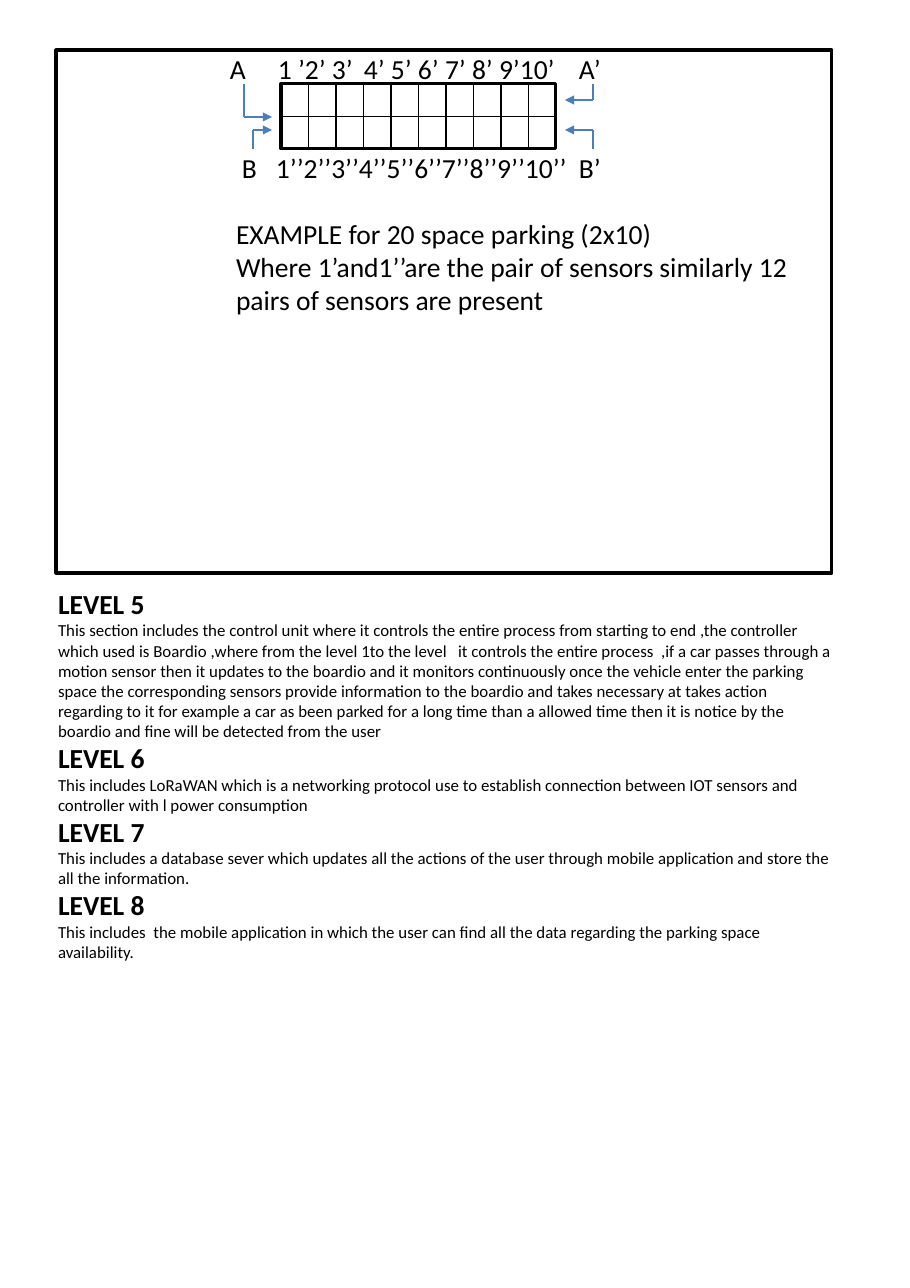
from lxml import etree
from pptx import Presentation
from pptx.dml.color import RGBColor
from pptx.enum.shapes import MSO_CONNECTOR, MSO_SHAPE
from pptx.enum.text import MSO_ANCHOR, MSO_AUTO_SIZE, PP_ALIGN
from pptx.oxml.ns import qn
from pptx.util import Pt

RECT = MSO_SHAPE.RECTANGLE
STRAIGHT = MSO_CONNECTOR.STRAIGHT
LEFT = PP_ALIGN.LEFT
TOP = MSO_ANCHOR.TOP
NO_FIT = MSO_AUTO_SIZE.NONE

PX = 8298
FONT = "Calibri"
BLACK, WHITE, BLUE = "000000", "FFFFFF", "4B7EBC"

EXAMPLE = [
    "EXAMPLE for 20 space parking (2x10)",
    "Where 1’and1’’are the pair of sensors similarly 12 pairs of sensors are present",
]
LEVELS = [
    ("LEVEL 5",
     "This section includes the control unit where it controls the entire process from starting "
     "to end ,the controller which used is Boardio ,where from the level 1to the level   it "
     "controls the entire process  ,if a car passes through a motion sensor then it updates to "
     "the boardio and it monitors continuously once the vehicle enter the parking space the "
     "corresponding sensors provide information to the boardio and takes necessary at takes "
     "action regarding to it for example a car as been parked for a long time than a allowed "
     "time then it is notice by the boardio and fine will be detected from the user"),
    ("LEVEL 6",
     "This includes LoRaWAN which is a networking protocol use to establish connection between "
     "IOT sensors and controller with l power consumption"),
    ("LEVEL 7",
     "This includes a database sever which updates all the actions of the user through mobile "
     "application and store the all the information."),
    ("LEVEL 8",
     "This includes  the mobile application in which the user can find all the data regarding "
     "the parking space availability."),
]
SENSOR_LABELS = [
    (52, [(230, "A"), (278, "1 ’2’ 3’"), (364, "4’ 5’ 6’ 7’ 8’ 9’10’"), (579, "A’")]),
    (151, [(242, "B"), (276, "1’’2’’3’’4’’5’’6’’7’’8’’9’’10’’"), (579, "B’")]),
]
FRAME = (56, 50, 776, 523)
LEVELS_BOX = (58, 587, 776, 465)
GRID_LEFT, GRID_TOP, GRID_W, GRID_H = GRID = (281, 84, 275, 65)
COLUMNS = 10
GRID_RIGHT, GRID_BOTTOM = GRID_LEFT + GRID_W, GRID_TOP + GRID_H
ENTRIES = [
    (244, GRID_TOP, 117, GRID_LEFT - 9),
    (253, GRID_BOTTOM, 130, GRID_LEFT - 9),
    (593, GRID_TOP, 100, GRID_RIGHT + 9),
    (593, GRID_BOTTOM, 130, GRID_RIGHT + 9),
]


def rgb(color):
    return RGBColor.from_string(color)


def emu(*lengths):
    return [round(n * PX) for n in lengths]


def outline(sp):
    sp.fill.solid()
    sp.fill.fore_color.rgb = rgb(WHITE)
    sp.line.color.rgb = rgb(BLACK)
    sp.line.width = Pt(2)


def add_line(x1, y1, x2, y2, color, arrow=False):
    sp = slide.shapes.add_connector(STRAIGHT, *emu(x1, y1, x2, y2))
    sp.line.color.rgb = rgb(color)
    sp.line.width = Pt(0.75)
    if arrow:
        etree.SubElement(sp.line._get_or_add_ln(), qn("a:tailEnd"), type="triangle")
    etree.SubElement(sp._element.spPr, qn("a:effectLst"))


def write(sp, lines, left=0, top=0, wrap=True):
    tf = sp.text_frame
    tf.word_wrap = wrap
    tf.auto_size = NO_FIT
    tf.vertical_anchor = TOP
    tf.margin_left, tf.margin_top = emu(left, top)
    tf.margin_right = tf.margin_bottom = 0
    tf.text = "\n".join(text for text, size, bold in lines)
    for p, (text, size, bold) in zip(tf.paragraphs, lines):
        p.alignment = LEFT
        p.space_before = Pt(0)
        p.font.name = FONT
        p.font.size = Pt(size)
        p.font.bold = bold
        p.font.color.rgb = rgb(BLACK)


def place(sp, box):
    sp.left, sp.top, sp.width, sp.height = emu(*box)


prs = Presentation()
prs.slide_width, prs.slide_height = emu(910, 1288)
slide = prs.slides.add_slide(prs.slide_layouts[0])

title, levels = slide.placeholders
place(title, FRAME)
outline(title)
write(title, [(text, 18, False) for text in EXAMPLE], left=180, top=167)

place(levels, LEVELS_BOX)
write(levels, [line for head, body in LEVELS for line in ((head, 18, True), (body, 11, False))])

for y, labels in SENSOR_LABELS:
    for x, text in labels:
        sp = slide.shapes.add_textbox(*emu(x, y, 11 * len(text), 33))
        write(sp, [(text, 18, False)], wrap=False)

parking = slide.shapes.add_shape(RECT, *emu(*GRID))
parking.shadow.inherit = False
outline(parking)
for i in range(1, COLUMNS):
    x = GRID_LEFT + i * GRID_W / COLUMNS
    add_line(x, GRID_TOP, x, GRID_BOTTOM, BLACK)
middle = GRID_TOP + GRID_H / 2
add_line(GRID_LEFT, middle, GRID_RIGHT, middle, BLACK)

for x, start, turn, end in ENTRIES:
    add_line(x, start, x, turn, BLUE)
    add_line(x, turn, end, turn, BLUE, arrow=True)

prs.save("out.pptx")
